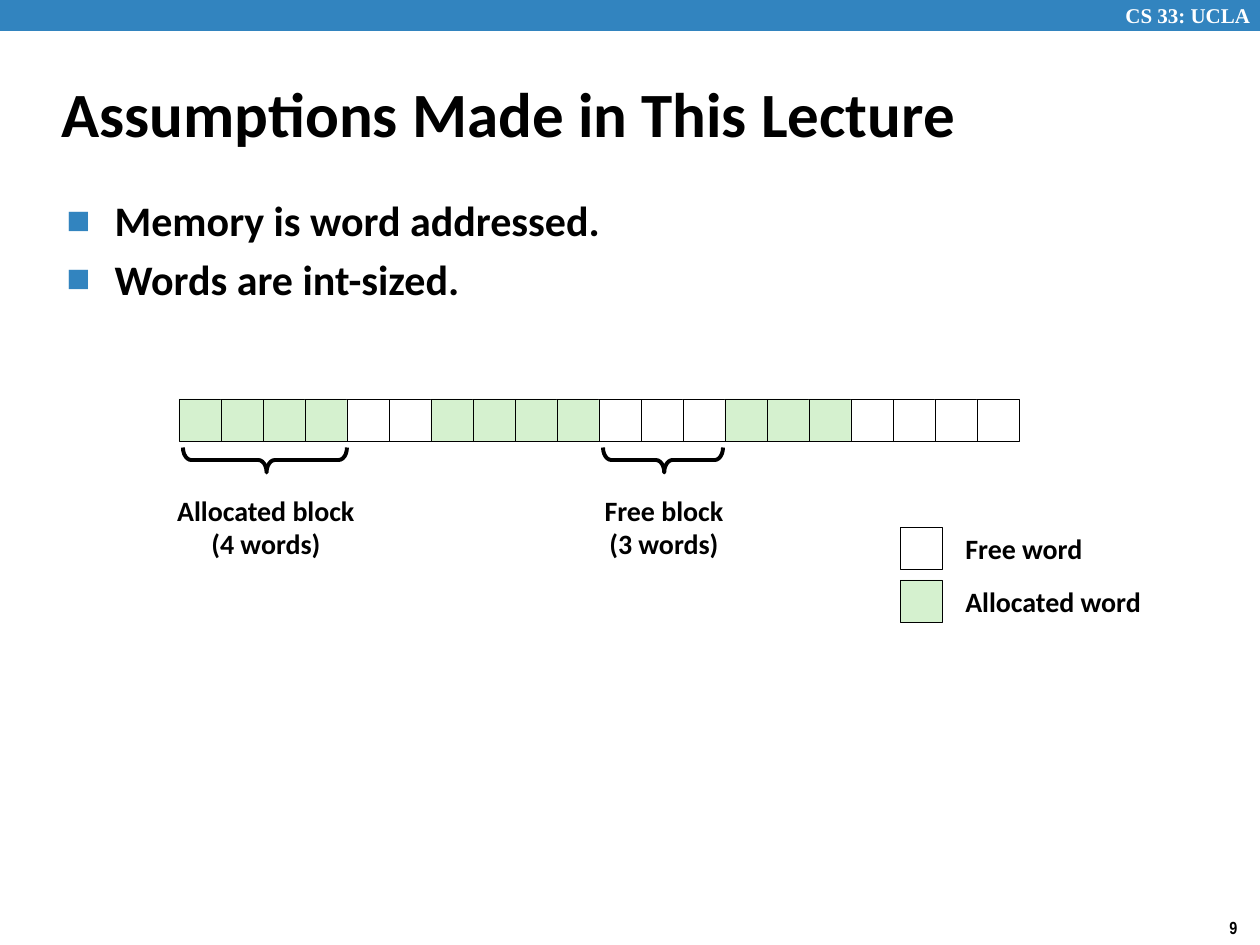
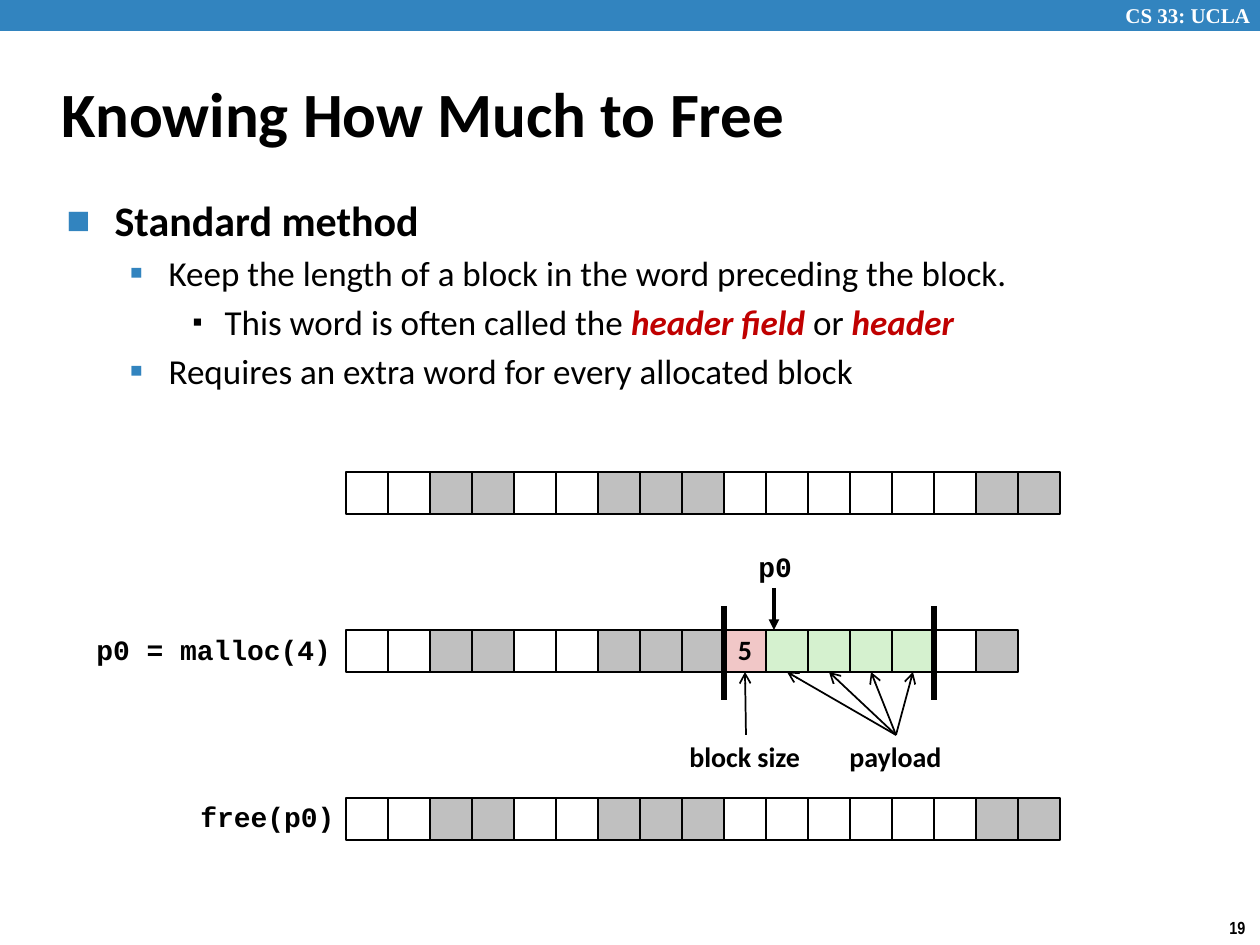
from lxml.etree import SubElement
from pptx import Presentation
from pptx.dml.color import RGBColor
from pptx.enum.shapes import MSO_CONNECTOR, MSO_SHAPE
from pptx.enum.text import MSO_ANCHOR, MSO_AUTO_SIZE, PP_ALIGN
from pptx.oxml.ns import qn
from pptx.util import Emu, Pt

COLORS = {
    "band": "3284BF", "ink": "000000", "paper": "FFFFFF", "emphasis": "C00000",
    "allocated": "D5F1CF", "used": "C0C0C0", "header": "F1C7C7",
}
COURSE = "CS 33: UCLA"
CELL = 42
CELL_FILLS = {".": "paper", "a": "allocated", "u": "used", "h": "header"}

# Bullet levels: left margin, hanging indent, character, colour, percent, text size, bold
LEVELS = [
    (48, 48, "■", "band", 60, 24, True),
    (102, 39, "▪", "band", 110, 20, False),
    (158, 32, "▪", "ink", 80, 20, False),
]

# Each bullet: level, then (text, emphasised) pieces
ASSUMPTIONS = {
    "title": "Assumptions Made in This Lecture",
    "page": "9",
    "bullets": [
        (0, [("Memory is word addressed.", False)]),
        (0, [("Words are int-sized.", False)]),
    ],
}
FREEING = {
    "title": "Knowing How Much to Free",
    "page": "19",
    "bullets": [
        (0, [("Standard method", False)]),
        (1, [("Keep the length of a block in the word preceding the block.", False)]),
        (2, [("This word is often called the ", False), ("header field ", True),
             ("or ", False), ("header", True)]),
        (1, [("Requires an extra word for every allocated block", False)]),
    ],
}

MEMORY = (179, 399, "aaaa..aaaa...aaa....")
# Text, centre, brace length, label width
BLOCKS = [
    ("Allocated block\n(4 words)", 265, 164, 204),
    ("Free block\n(3 words)", 663, 120, 151),
]
LEGEND = [("Free word", ".", 144), ("Allocated word", "a", 203)]

HEAP_LEFT = 346
HEAP_ROWS = [
    (472, "..uu..uuu......uu"),
    (630, "..uu..uuuhaaaa.u"),
    (798, "..uu..uuu......uu"),
]
# Text, left, top, width
CODE_LABELS = [
    ("p0 = malloc(4)", 84, 629, 263),
    ("free(p0)", 188, 796, 161),
    ("p0", 746, 546, 59),
]
PART_LABELS = [("block size", 677, 735, 137), ("payload", 837, 735, 118)]
HEADER_INDEX = 9
PAYLOAD_INDEXES = range(10, 14)


def px(length):
    return Emu(round(length * 914400 / 126))


def rgb(name):
    return RGBColor.from_string(COLORS[name])


def style(font, size, name="Calibri", color="ink", bold=True):
    font.size, font.name, font.bold = Pt(size), name, bold
    font.color.rgb = rgb(color)


def place(shape, left, top, width, height):
    shape.left, shape.top = px(left), px(top)
    shape.width, shape.height = px(width), px(height)


def add_label(slide, text, left, top, width, height=47, size=16, name="Calibri",
              color="ink", align=PP_ALIGN.LEFT, spacing=0.98):
    label = slide.shapes.add_textbox(px(left), px(top), px(width), px(height))
    frame = label.text_frame
    frame.word_wrap = False
    frame.text = text
    for paragraph in frame.paragraphs:
        paragraph.alignment, paragraph.line_spacing = align, spacing
        for run in paragraph.runs:
            style(run.font, size, name, color)


def add_preset(slide, preset, left, top, width, height, fill=None, line=None):
    shape = slide.shapes.add_shape(preset, px(left), px(top), px(width), px(height))
    shape.shadow.inherit = False
    if fill:
        shape.fill.solid()
        shape.fill.fore_color.rgb = rgb(fill)
    else:
        shape.fill.background()
    if line:
        shape.line.color.rgb = rgb("ink")
        shape.line.width = Pt(line)
    else:
        shape.line.fill.background()
    return shape


def add_words(slide, left, top, kinds, line):
    """Draw a row of memory words, one per letter, and return their shapes."""
    return [add_preset(slide, MSO_SHAPE.RECTANGLE, left + i * CELL, top, CELL, CELL,
                       CELL_FILLS[kind], line)
            for i, kind in enumerate(kinds)]


def add_line(slide, start, end, width, head=None):
    line = slide.shapes.add_connector(
        MSO_CONNECTOR.STRAIGHT, *map(px, start), *map(px, end))
    line.line.color.rgb = rgb("ink")
    line.line.width = Pt(width)
    properties = line._element.spPr
    if head:
        SubElement(properties.find(qn("a:ln")), qn("a:tailEnd"), type=head)
    SubElement(properties, qn("a:effectLst"))


def add_bullet(paragraph, level, pieces):
    margin, hanging, character, color, percent, size, bold = LEVELS[level]
    paragraph.level = level
    properties = paragraph._p.get_or_add_pPr()
    properties.set("marL", str(px(margin)))
    properties.set("indent", str(px(-hanging)))
    bullet_color = SubElement(properties, qn("a:buClr"))
    SubElement(bullet_color, qn("a:srgbClr"), val=COLORS[color])
    SubElement(properties, qn("a:buSzPct"), val=str(percent * 1000))
    SubElement(properties, qn("a:buFont"), typeface="Calibri")
    SubElement(properties, qn("a:buChar"), char=character)
    for text, emphasised in pieces:
        run = paragraph.add_run()
        run.text = text
        style(run.font, size, color="emphasis" if emphasised else "ink",
              bold=bold or emphasised)
        run.font.italic = emphasised


def add_slide(deck, content):
    """Add a slide with the shared band, course name, page number, title and bullets."""
    slide = deck.slides.add_slide(deck.slide_layouts[1])
    add_preset(slide, MSO_SHAPE.RECTANGLE, 0, 0, 1260, 31, "band")
    add_label(slide, COURSE, 1113, -4, 156, 38, 12, "Times New Roman", "paper", spacing=1)
    add_label(slide, content["page"], 1217, 911, 43, 34, 10, "Arial Narrow", spacing=1)

    title = slide.shapes.title
    place(title, 49, 60, 1046, 105)
    title.text_frame.text = content["title"]
    title.text_frame.vertical_anchor = MSO_ANCHOR.MIDDLE
    title.text_frame.auto_size = MSO_AUTO_SIZE.NONE
    heading = title.text_frame.paragraphs[0]
    heading.alignment = PP_ALIGN.LEFT
    style(heading.runs[0].font, 36)

    body = slide.placeholders[1]
    place(body, 54, 188, 1089, 685)
    frame = body.text_frame
    frame.auto_size = MSO_AUTO_SIZE.NONE
    for i, (level, pieces) in enumerate(content["bullets"]):
        add_bullet(frame.add_paragraph() if i else frame.paragraphs[0], level, pieces)
    frame.paragraphs[0].space_before = Pt(0)
    return slide


def draw_assumptions(slide):
    add_words(slide, *MEMORY, line=0.25)
    for text, center, length, width in BLOCKS:
        brace = add_preset(slide, MSO_SHAPE.LEFT_BRACE, center - 12.5, 460 - length / 2,
                           25, length, line=2.25)
        brace.rotation = 270
        brace.adjustments[0], brace.adjustments[1] = 0.33, 0.51
        add_label(slide, text, center + 1 - width / 2, 489, width, 79,
                  align=PP_ALIGN.CENTER)
    for i, (text, kind, width) in enumerate(LEGEND):
        top = 527 + i * 53
        add_words(slide, 900, top, kind, 0.25)
        add_label(slide, text, 953, top, width)


def draw_freeing(slide):
    rows = [add_words(slide, HEAP_LEFT, top, kinds, 1) for top, kinds in HEAP_ROWS]
    for text, left, top, width in CODE_LABELS:
        add_label(slide, text, left, top, width, 45, name="Courier New", spacing=0.94)
    for text, left, top, width in PART_LABELS:
        add_label(slide, text, left, top, width)

    size_frame = rows[1][HEADER_INDEX].text_frame
    size_frame.text = "5"
    size_frame.word_wrap = False
    size_frame.vertical_anchor = MSO_ANCHOR.MIDDLE
    size_frame.paragraphs[0].alignment = PP_ALIGN.CENTER
    size_frame.paragraphs[0].line_spacing = 0.98
    style(size_frame.paragraphs[0].runs[0].font, 16)

    def word_left(index):
        return HEAP_LEFT + index * CELL

    row_top = HEAP_ROWS[1][0]
    row_bottom = row_top + CELL
    for boundary in (HEADER_INDEX, PAYLOAD_INDEXES.stop):
        x = word_left(boundary)
        add_line(slide, (x, row_top - 24), (x, row_bottom + 28), 3)
    add_line(slide, (774, row_top - 42), (774, row_top), 2, "triangle")
    arrows = [(746, HEADER_INDEX)] + [(896, index) for index in PAYLOAD_INDEXES]
    for start, index in arrows:
        add_line(slide, (start, 735), (word_left(index) + CELL / 2, row_bottom), 1, "arrow")


def main():
    deck = Presentation()
    deck.slide_width, deck.slide_height = px(1260), px(945)
    draw_assumptions(add_slide(deck, ASSUMPTIONS))
    draw_freeing(add_slide(deck, FREEING))
    deck.save("out.pptx")


if __name__ == "__main__":
    main()
